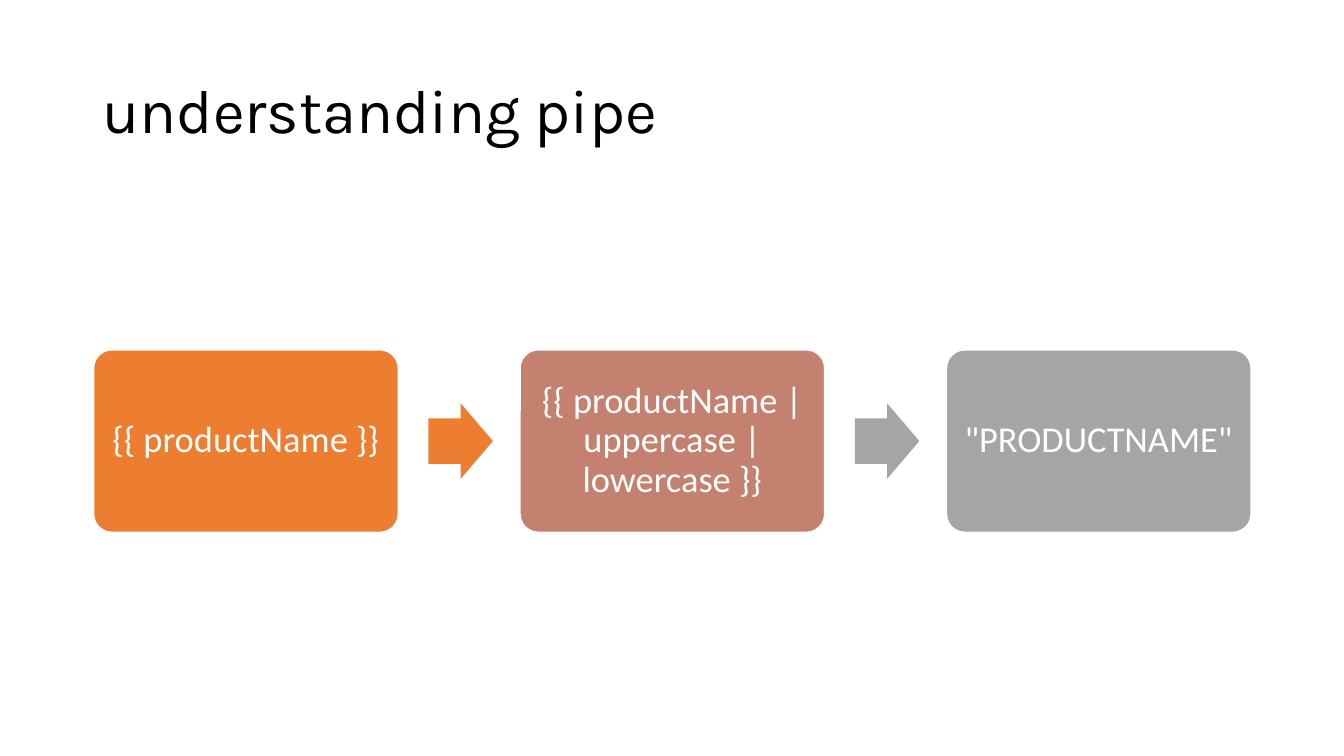
from dataclasses import dataclass

from pptx import Presentation
from pptx.dml.color import RGBColor
from pptx.enum import shapes, text
from pptx.util import Pt

COLORS = {
    "black": "000000",
    "white": "FFFFFF",
    "orange": "ED7D31",
    "rose": "C48170",
    "gray": "A5A5A5",
}

# Layout, in points
STEP_LEFT, STEP_TOP, STEP_WIDTH, STEP_HEIGHT = 66.9, 249.9, 217.6, 130.3
STEP_PITCH = 304.6
ARROW_OFFSET, ARROW_WIDTH, ARROW_HEIGHT = 239.1, 46.1, 54


@dataclass
class Step:
    label: str
    color: str
    arrow_color: str | None = None


STEPS = [
    Step("{{ productName }}", "orange", "orange"),
    Step("{{ productName | uppercase | lowercase }}", "rose", "gray"),
    Step('"PRODUCTNAME"', "gray"),
]


def rgb(name: str) -> RGBColor:
    return RGBColor.from_string(COLORS[name])


def write(box, words: str, font: str, size: float, color: str, align) -> None:
    frame = box.text_frame
    frame.text = words
    frame.word_wrap = True
    frame.vertical_anchor = text.MSO_ANCHOR.MIDDLE
    para = frame.paragraphs[0]
    para.alignment = align
    para.line_spacing = 0.9
    span = para.runs[0]
    span.font.name = font
    span.font.size = Pt(size)
    span.font.color.rgb = rgb(color)


def add_title(page, words: str) -> None:
    box = page.shapes.add_textbox(Pt(66), Pt(28.8), Pt(828), Pt(104.4))
    write(box, words, "Karla", 44, "black", text.PP_ALIGN.LEFT)


def add_step(page, step: Step, left: float) -> None:
    box = page.shapes.add_shape(
        shapes.MSO_SHAPE.ROUNDED_RECTANGLE,
        Pt(left), Pt(STEP_TOP), Pt(STEP_WIDTH), Pt(STEP_HEIGHT))
    box.adjustments[0] = 0.1
    box.shadow.inherit = False
    box.fill.solid()
    box.fill.fore_color.rgb = rgb(step.color)
    box.line.color.rgb = rgb("white")
    box.line.width = Pt(1)
    write(box, step.label, "Calibri", 26, "white", text.PP_ALIGN.CENTER)
    frame = box.text_frame
    frame.margin_left = frame.margin_right = Pt(7.8)
    frame.margin_top = frame.margin_bottom = Pt(7.8)


def add_arrow(page, color: str, left: float) -> None:
    top = STEP_TOP + (STEP_HEIGHT - ARROW_HEIGHT) / 2
    arrow = page.shapes.add_shape(
        shapes.MSO_SHAPE.RIGHT_ARROW,
        Pt(left), Pt(top), Pt(ARROW_WIDTH), Pt(ARROW_HEIGHT))
    arrow.adjustments[0] = 0.6
    arrow.adjustments[1] = 0.5
    arrow.shadow.inherit = False
    arrow.fill.solid()
    arrow.fill.fore_color.rgb = rgb(color)
    arrow.line.fill.background()


def main() -> None:
    deck = Presentation()
    deck.slide_width, deck.slide_height = Pt(960), Pt(540)
    page = deck.slides.add_slide(deck.slide_layouts[6])

    add_title(page, "understanding pipe")

    # Pipe steps, each followed by its arrow
    for index, step in enumerate(STEPS):
        left = STEP_LEFT + index * STEP_PITCH
        add_step(page, step, left)
        if step.arrow_color:
            add_arrow(page, step.arrow_color, left + ARROW_OFFSET)

    deck.save("out.pptx")


if __name__ == "__main__":
    main()
